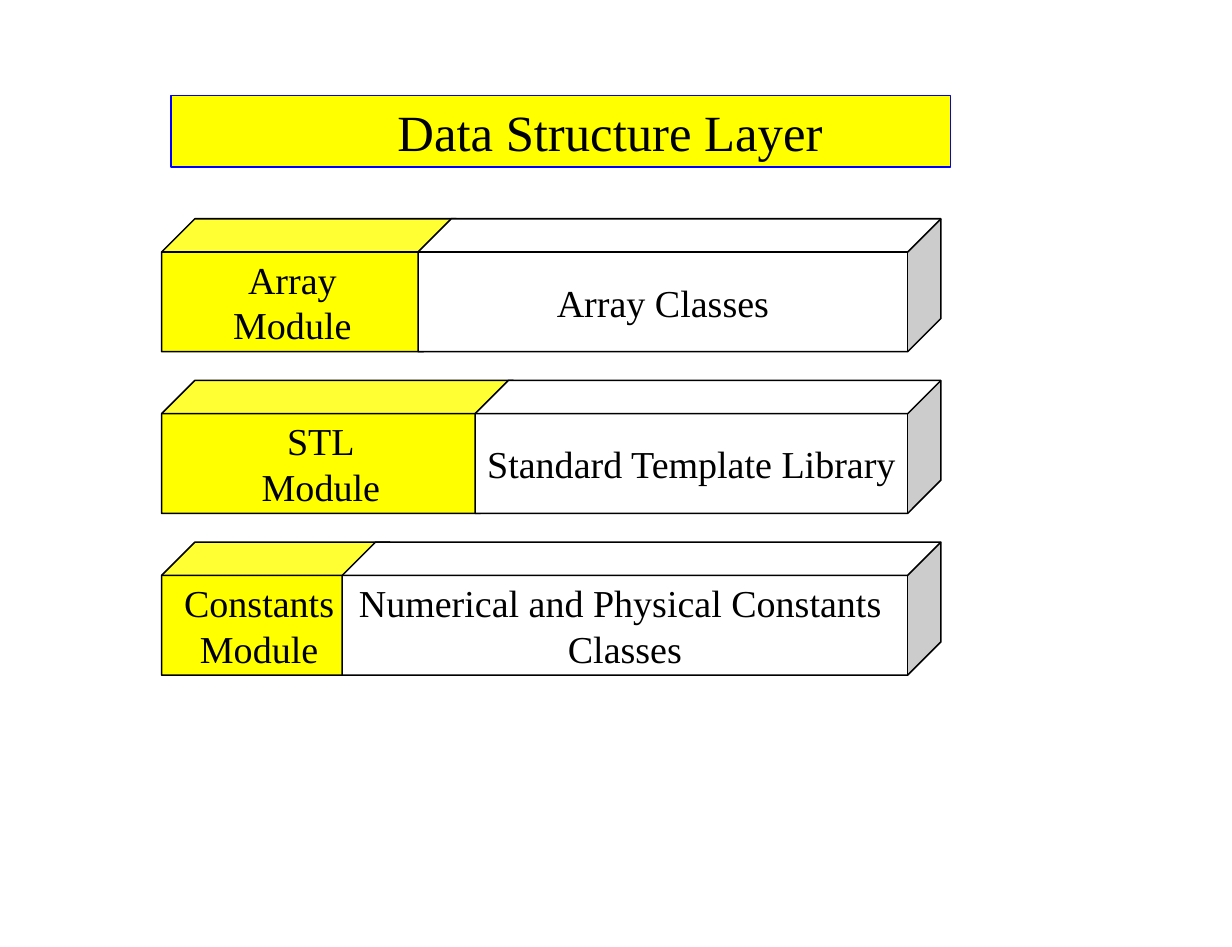
from pptx import Presentation
from pptx.dml.color import RGBColor
from pptx.enum.shapes import MSO_SHAPE as Shape
from pptx.enum.text import MSO_ANCHOR as Anchor, PP_ALIGN as Align
from pptx.util import Cm, Pt

YELLOW, WHITE, BLACK, BLUE = "FFFF00", "FFFFFF", "000000", "0000FF"

# Module text, classes text, module width, left edge of the classes (cm)
LAYERS = [
    (["Array", "Module"], ["Array Classes"], 6.56, 5.71),
    (["STL", "Module"], ["Standard Template Library"], 7.83, 6.98),
    (["Constants", "Module"], ["Numerical and Physical Constants ", "Classes"], 5.08, 4.02),
]


def color(hex_string):
    return RGBColor.from_string(hex_string)


def add_block(slide, kind, box, fill, outline, line_width, lines, size, align, frame_format):
    """Add a filled preset shape with one paragraph per line of text."""
    shape = slide.shapes.add_shape(kind, *map(Cm, box))
    shape.shadow.inherit = False
    shape.fill.solid()
    shape.fill.fore_color.rgb = color(fill)
    shape.line.color.rgb = color(outline)
    shape.line.width = Pt(line_width)

    frame = shape.text_frame
    for name, value in frame_format.items():
        setattr(frame, name, value)
    frame.text = "\n".join(lines)
    font_format = {"name": "Times New Roman", "size": Pt(size)}
    for paragraph in frame.paragraphs:
        paragraph.alignment = align
        for name, value in font_format.items():
            setattr(paragraph.font, name, value)
        paragraph.font.color.rgb = color(BLACK)


def add_title(slide, box):
    """Add the banner, with its text indented from the left."""
    frame_format = {"vertical_anchor": Anchor.TOP, "word_wrap": True,
                    "margin_left": Cm(5.04)}
    add_block(slide, Shape.RECTANGLE, box, YELLOW, BLUE, 0.75,
              ["Data Structure Layer"], 32, Align.LEFT, frame_format)


def add_layer(slide, box, module, classes, module_width, classes_offset):
    """Add a bar: the module cube, partly covered by the classes cube."""
    left, top, width, height = box
    frame_format = {"vertical_anchor": Anchor.MIDDLE, "word_wrap": False}
    cubes = [
        (left, module_width, YELLOW, module),
        (left + classes_offset, width - classes_offset, WHITE, classes),
    ]
    for cube_left, cube_width, fill, lines in cubes:
        add_block(slide, Shape.CUBE, (cube_left, top, cube_width, height), fill,
                  BLACK, 1, lines, 24, Align.CENTER, frame_format)


def main():
    presentation = Presentation()
    presentation.slide_width, presentation.slide_height = Cm(27.43), Cm(21.08)
    slide = presentation.slides.add_slide(presentation.slide_layouts[6])

    # Banner
    add_title(slide, (3.81, 2.12, 17.35, 1.6))

    # Stack of layers at an equal pitch
    left, top, width, height, pitch = 3.6, 4.87, 17.35, 2.96, 3.6
    for index, layer in enumerate(LAYERS):
        add_layer(slide, (left, top + index * pitch, width, height), *layer)

    presentation.save("out.pptx")


if __name__ == "__main__":
    main()
